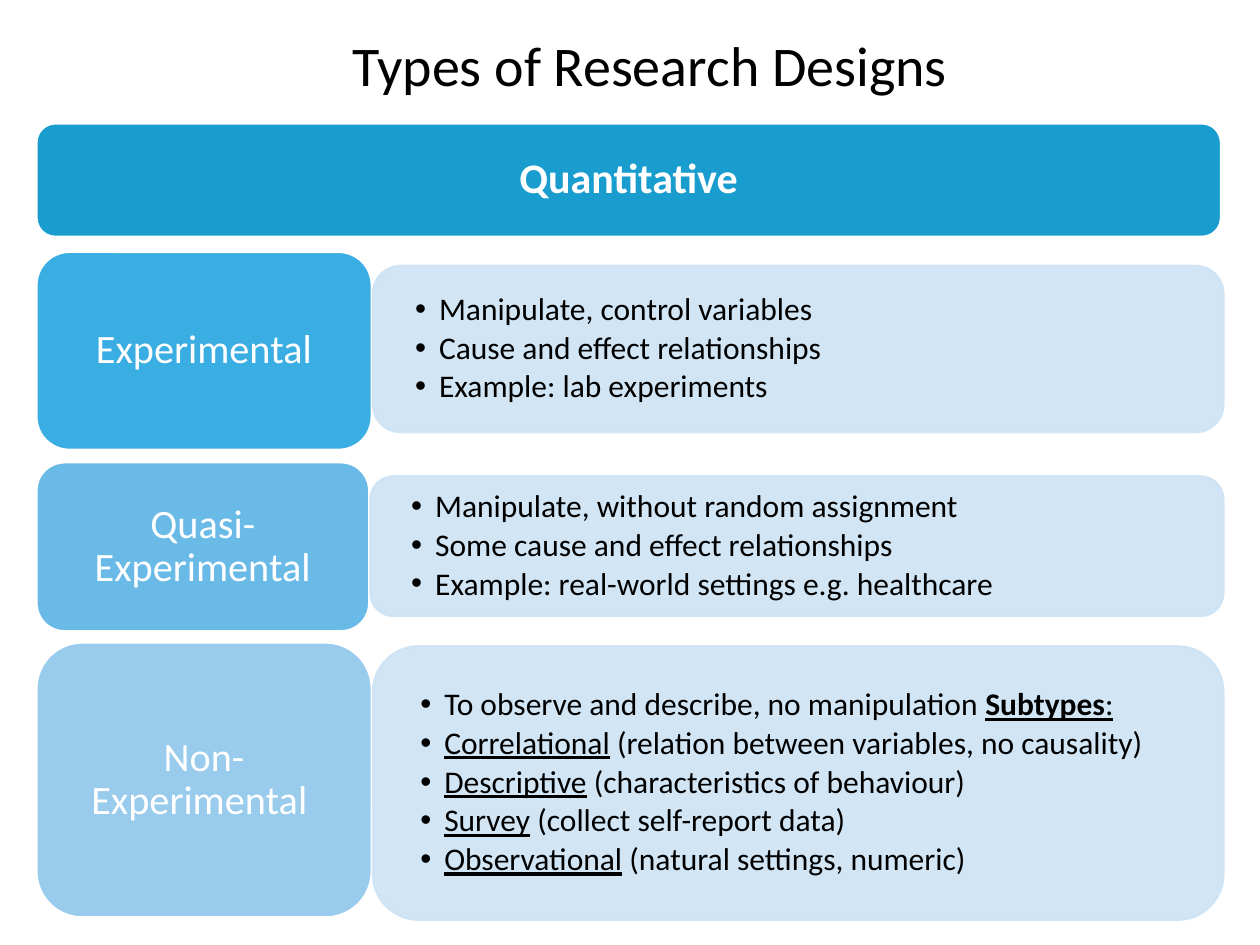
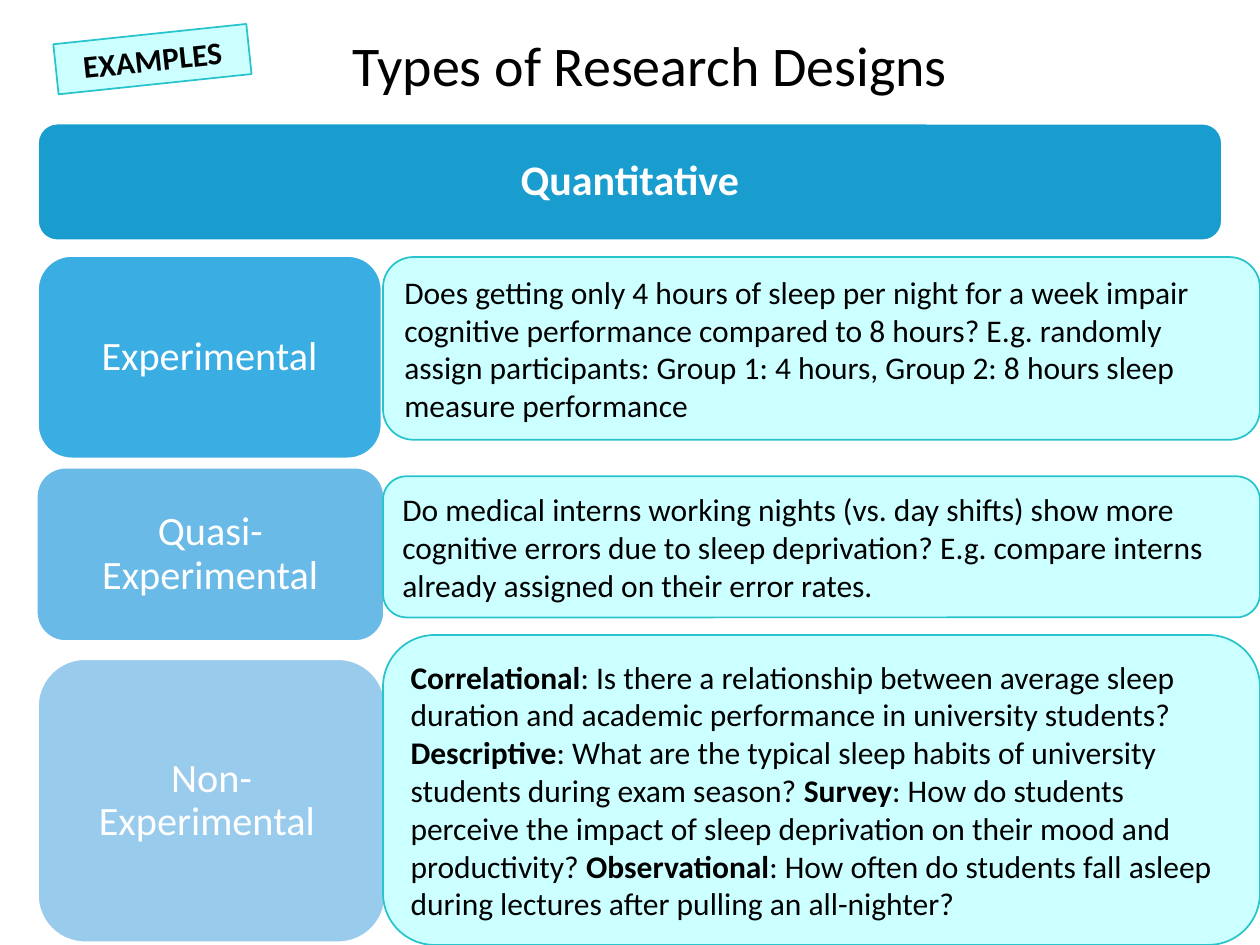
from dataclasses import dataclass

from lxml.etree import SubElement
from pptx import Presentation
from pptx.dml.color import RGBColor
from pptx.enum.shapes import MSO_SHAPE
from pptx.enum.text import MSO_ANCHOR, PP_ALIGN
from pptx.oxml.ns import qn
from pptx.util import Pt

PX = 9144  # EMU per px, 100 px to the inch
FONT = "Calibri"
COLORS = {
    "banner": "199DCF",
    "experimental": "3AADE3",
    "quasi": "6ABAE7",
    "non": "99CBEC",
    "detail": "CDE3F5",
    "example": "CCFFFF",
    "example_line": "28C4CC",
    "white": "FFFFFF",
    "black": "000000",
}
CATEGORIES = {
    "experimental": "Experimental",
    "quasi": "Quasi-Experimental",
    "non": "Non-Experimental ",
}


@dataclass(frozen=True)
class Box:
    left: int
    top: int
    width: int
    height: int

    def emu(self) -> list[int]:
        return [side * PX for side in (self.left, self.top, self.width, self.height)]


@dataclass(frozen=True)
class Span:
    text: str
    bold: bool = False
    underline: bool = False


@dataclass(frozen=True)
class TextStyle:
    size: float
    color: str = "black"
    align: PP_ALIGN = PP_ALIGN.LEFT
    line_spacing: float = 1.0
    space_after: float = 0
    bulleted: bool = False
    margin_x: int = 10
    margin_y: int = 5
    anchor: MSO_ANCHOR = MSO_ANCHOR.MIDDLE


@dataclass(frozen=True)
class PanelStyle:
    fill: str
    line: str
    line_width: float
    opacity: int = 100
    preset: MSO_SHAPE = MSO_SHAPE.ROUNDED_RECTANGLE


Paragraphs = list[list[Span]]

TITLE_TEXT = TextStyle(32, align=PP_ALIGN.CENTER, anchor=MSO_ANCHOR.TOP)
BANNER_TEXT = TextStyle(24, "white", PP_ALIGN.CENTER, 0.9)
LABEL_TEXT = TextStyle(23, "white", PP_ALIGN.CENTER, 0.9)
DETAIL_TEXT = TextStyle(18, line_spacing=0.9, space_after=2.7, bulleted=True,
                        margin_x=27, margin_y=14)
EXAMPLE_TEXT = TextStyle(18)
TAG_TEXT = TextStyle(18, align=PP_ALIGN.CENTER)
DETAIL_PANEL = PanelStyle("detail", "detail", 1.25, opacity=90)
EXAMPLE_PANEL = PanelStyle("example", "example_line", 1)
TAG_PANEL = PanelStyle("example", "example_line", 1, preset=MSO_SHAPE.RECTANGLE)


def plain(*lines: str) -> Paragraphs:
    return [[Span(line)] for line in lines]


def set_values(target, values: dict) -> None:
    for name, value in values.items():
        setattr(target, name, value)


def add_bullet(paragraph) -> None:
    properties = paragraph._p.get_or_add_pPr()
    properties.set("marL", str(19 * PX))
    properties.set("indent", str(-19 * PX))
    SubElement(properties, qn("a:buFont"), typeface="Arial")
    SubElement(properties, qn("a:buChar"), char="•")


def write_text(shape, paragraphs: Paragraphs, style: TextStyle) -> None:
    frame = shape.text_frame
    set_values(frame, {
        "word_wrap": True,
        "vertical_anchor": style.anchor,
        "margin_left": style.margin_x * PX,
        "margin_right": style.margin_x * PX,
        "margin_top": style.margin_y * PX,
        "margin_bottom": style.margin_y * PX,
    })
    for index, spans in enumerate(paragraphs):
        paragraph = frame.add_paragraph() if index else frame.paragraphs[0]
        if style.bulleted:
            add_bullet(paragraph)
        set_values(paragraph, {
            "alignment": style.align,
            "line_spacing": style.line_spacing,
            "space_after": Pt(style.space_after),
        })
        for span in spans:
            run = paragraph.add_run()
            run.text = span.text
            set_values(run.font, {
                "name": FONT,
                "size": Pt(style.size),
                "bold": span.bold,
                "underline": span.underline,
            })
            run.font.color.rgb = RGBColor.from_string(COLORS[style.color])


def add_panel(page, box: Box, panel: PanelStyle, paragraphs: Paragraphs,
              text: TextStyle, rotation: int = 0) -> None:
    shape = page.shapes.add_shape(panel.preset, *box.emu())
    shape.rotation = rotation
    shape.shadow.inherit = False
    shape.fill.solid()
    shape.fill.fore_color.rgb = RGBColor.from_string(COLORS[panel.fill])
    shape.line.color.rgb = RGBColor.from_string(COLORS[panel.line])
    shape.line.width = Pt(panel.line_width)
    if panel.opacity < 100:
        for color in shape._element.spPr.iter(qn("a:srgbClr")):
            SubElement(color, qn("a:alpha"), val=str(panel.opacity * 1000))
    write_text(shape, paragraphs, text)


def add_design_page(deck, banner: Box, labels: list[Box]):
    """Add a page with the title, the banner and the three category labels."""
    page = deck.slides.add_slide(deck.slide_layouts[6])
    title = page.shapes.add_textbox(*Box(153, 19, 726, 157).emu())
    write_text(title, plain("Types of Research Designs"), TITLE_TEXT)
    add_panel(page, banner, PanelStyle("banner", "white", 1.25),
              [[Span("Quantitative", bold=True)]], BANNER_TEXT)
    for box, (color, name) in zip(labels, CATEGORIES.items()):
        add_panel(page, box, PanelStyle(color, "white", 1.25), plain(name), LABEL_TEXT)
    return page


def add_details(deck) -> None:
    page = add_design_page(deck, Box(29, 98, 940, 90), [
        Box(29, 200, 266, 157), Box(29, 367, 264, 134), Box(29, 510, 266, 218),
    ])
    subtypes = {
        "Correlational": "relation between variables, no causality",
        "Descriptive": "characteristics of behaviour",
        "Survey": "collect self-report data",
        "Observational": "natural settings, numeric",
    }
    details = [
        (Box(296, 211, 675, 132), plain(
            "Manipulate, control variables",
            "Cause and effect relationships",
            "Example: lab experiments")),
        (Box(294, 378, 677, 111), plain(
            "Manipulate, without random assignment",
            "Some cause and effect relationships",
            "Example: real-world settings e.g. healthcare")),
        (Box(296, 513, 675, 217), [
            [Span("To observe and describe, no manipulation "),
             Span("Subtypes", bold=True, underline=True), Span(":", underline=True)],
            *([Span(name, underline=True), Span(f" ({meaning})")]
              for name, meaning in subtypes.items())]),
    ]
    for box, paragraphs in details:
        add_panel(page, box, DETAIL_PANEL, paragraphs, DETAIL_TEXT)


def add_examples(deck) -> None:
    page = add_design_page(deck, Box(30, 98, 940, 93), [
        Box(30, 203, 273, 161), Box(29, 371, 276, 138), Box(30, 523, 276, 225),
    ])
    add_panel(page, Box(44, 27, 154, 40), TAG_PANEL,
              [[Span("EXAMPLES", bold=True)]], TAG_TEXT, rotation=354)
    examples = [
        (204, 145, plain(
            "Does getting only 4 hours of sleep per night for a week impair cognitive "
            "performance compared to 8 hours? E.g. randomly assign participants: "
            "Group 1: 4 hours, Group 2: 8 hours sleep measure performance")),
        (378, 112, plain(
            "Do medical interns working nights (vs. day shifts) show more cognitive "
            "errors due to sleep deprivation? E.g. compare interns already assigned "
            "on their error rates.")),
        (504, 246, [
            [Span("Correlational", bold=True),
             Span(": Is there a relationship between average sleep duration and "
                  "academic performance in university students?")],
            [Span("Descriptive", bold=True),
             Span(": What are the typical sleep habits of university students "
                  "during exam season? "),
             Span("Survey", bold=True),
             Span(": How do students perceive the impact of sleep deprivation on "
                  "their mood and productivity? "),
             Span("Observational", bold=True),
             Span(": How often do students fall asleep during lectures after "
                  "pulling an all-nighter?")]]),
    ]
    for top, height, paragraphs in examples:
        add_panel(page, Box(304, top, 696, height), EXAMPLE_PANEL, paragraphs, EXAMPLE_TEXT)


def main() -> None:
    deck = Presentation()
    set_values(deck, {"slide_width": 1000 * PX, "slide_height": 750 * PX})
    add_details(deck)
    add_examples(deck)
    deck.save("out.pptx")


if __name__ == "__main__":
    main()
